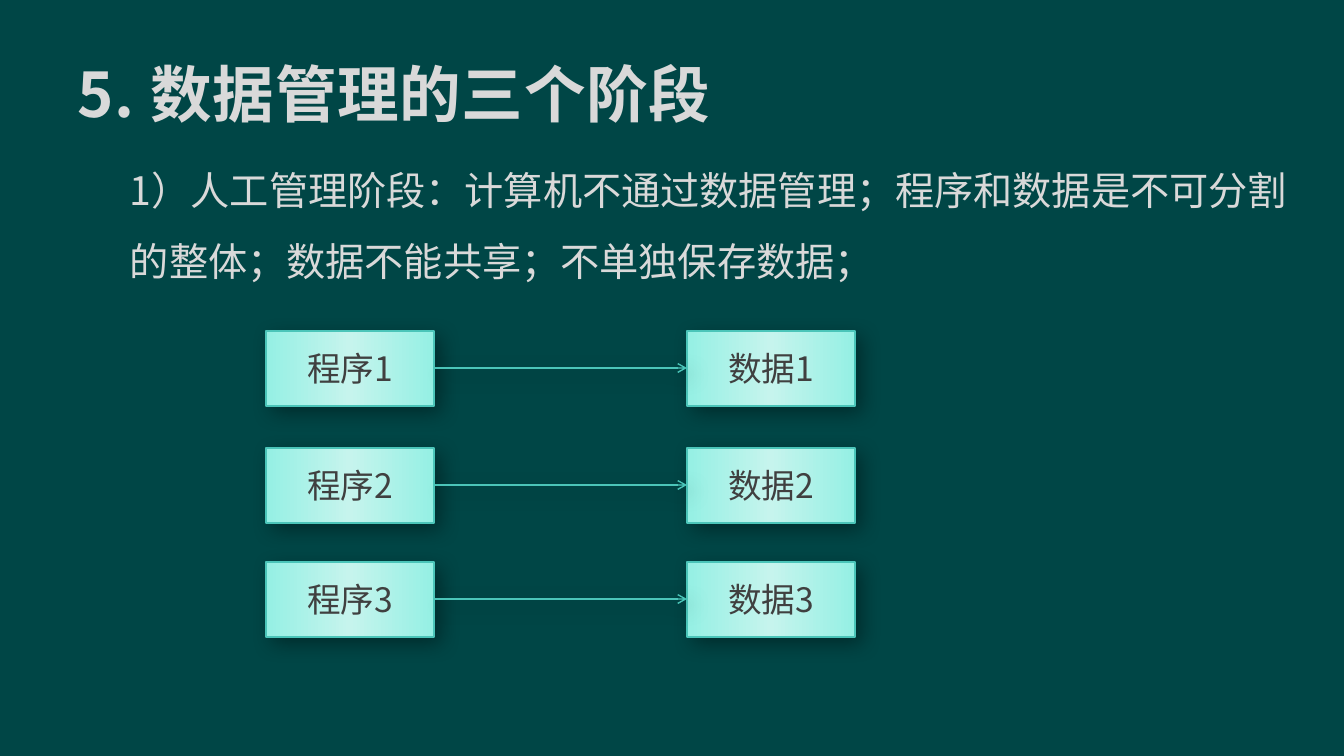
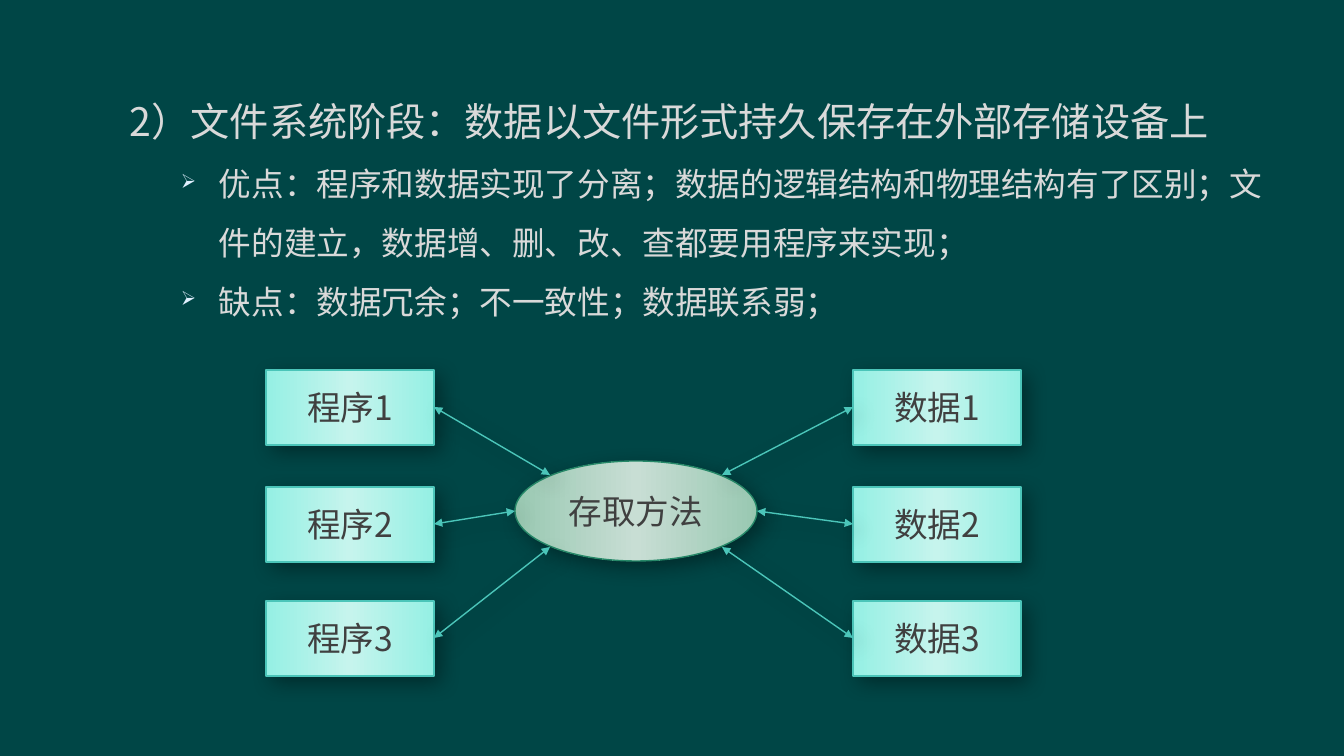
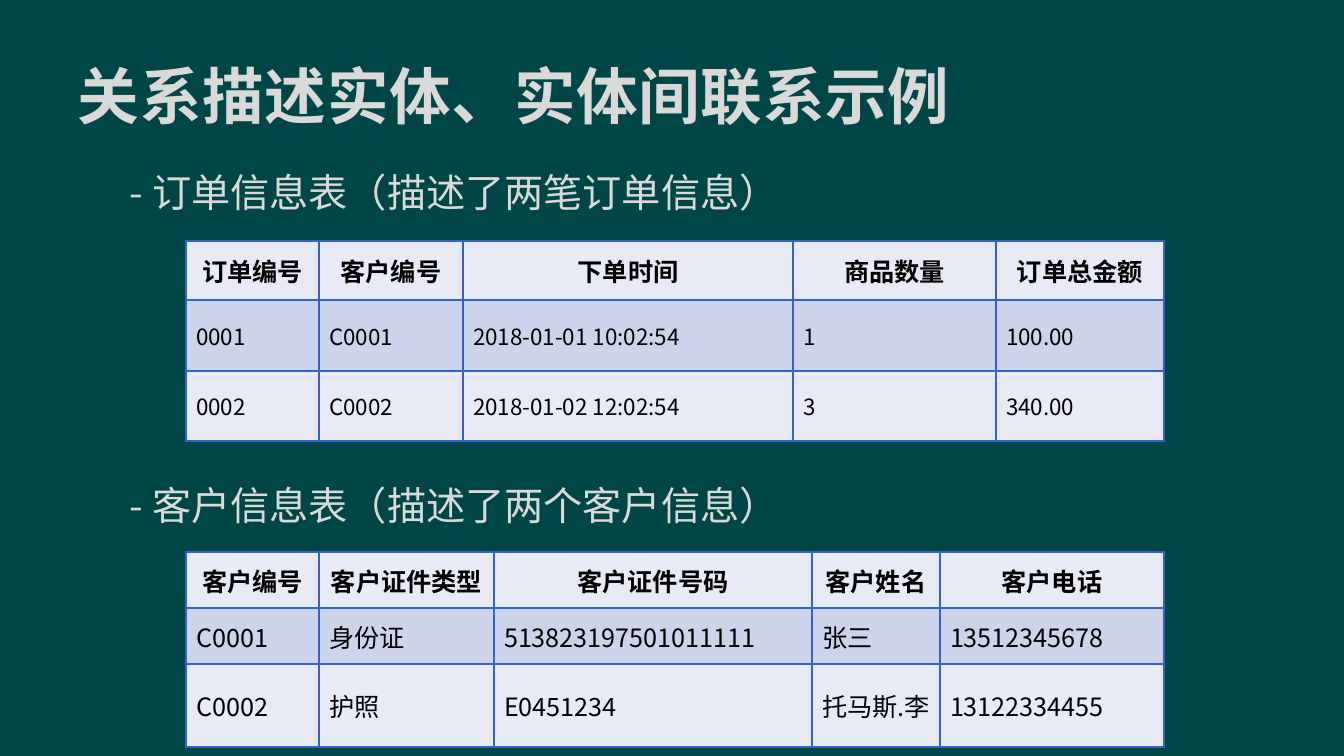
from copy import deepcopy
from lxml import etree
from pptx import Presentation
from pptx import util as u
from pptx.dml.color import RGBColor
from pptx.enum import shapes, text
from pptx.oxml import parse_xml
from pptx.oxml.ns import nsdecls, qn

PX = 9071  # EMU per pixel
FONT = "Noto Sans CJK SC"
BACK, PALE, DARK, BLACK = "004646", "D9D9D9", "404040", "000000"
TEAL, MINT, MINT_MID = "4BC5B9", "95F0E4", "C6F4ED"
GREEN, SAGE, SAGE_MID = "268868", "99C8B2", "C8DED4"
GRID, BAND, PLAIN = "3163CA", "CED3EC", "E8EAF6"
SPACING = 1.5
rgb = RGBColor.from_string
SHADOW = f"""<a:effectLst {nsdecls('a')}>
<a:outerShdw blurRad="190500" dist="78740" dir="2700000" algn="tl" rotWithShape="0">
<a:srgbClr val="{BLACK}"><a:alpha val="36000"/></a:srgbClr></a:outerShdw></a:effectLst>"""


def write(tf, words, size=28, color=PALE, bold=False, align=None, spacing=None, track=None):
    """Fill the frame's empty first paragraph, or add one."""
    p = tf.paragraphs[0] if not tf.text else tf.add_paragraph()
    p.alignment = align
    p.line_spacing = spacing
    r = p.add_run()
    r.text = words
    r.font.size, r.font.bold, r.font.name = u.Pt(size), bold, FONT
    r.font.color.rgb = rgb(color)
    rPr = r.font._element
    etree.SubElement(rPr, qn("a:ea")).set("typeface", FONT)
    if track:
        rPr.set("spc", str(track))
    return p


def outline(s, color):
    """Thin line and soft shadow, for nodes and connectors."""
    s.line.color.rgb = rgb(color)
    s.line.width = u.Pt(1)
    s._element.spPr.append(parse_xml(SHADOW))


prs = Presentation()
prs.slide_width, prs.slide_height = 1344 * PX, 756 * PX

# Slides with their titles and body text: (top, height, text)
pages = [
    ((30, "5. 数据管理的三个阶段"),
     [(138, 174, "1）人工管理阶段：计算机不通过数据管理；程序和数据是不可分割的整体；"
                 "数据不能共享；不单独保存数据；")]),
    (None,
     [(69, 291, "2）文件系统阶段：数据以文件形式持久保存在外部存储设备上")]),
    ((32, "关系描述实体、实体间联系示例"),
     [(140, 81, "- 订单信息表（描述了两笔订单信息）"),
      (453, 81, "- 客户信息表（描述了两个客户信息）")]),
]
slides, bodies = [], []
for title, blocks in pages:
    slide = prs.slides.add_slide(prs.slide_layouts[6])
    slide.background.fill.solid()
    slide.background.fill.fore_color.rgb = rgb(BACK)
    slides.append(slide)
    if title:
        top, words = title
        tf = slide.shapes.add_textbox(68 * PX, top * PX, 1143 * PX, 126 * PX).text_frame
        tf.word_wrap = True
        tf.vertical_anchor = text.MSO_ANCHOR.MIDDLE
        write(tf, words, size=44, bold=True, track=50)
    for top, height, words in blocks:
        tf = slide.shapes.add_textbox(120 * PX, top * PX, 1178 * PX, height * PX).text_frame
        tf.word_wrap = True
        write(tf, words, spacing=SPACING)
        bodies.append(tf)

# Bulleted pros and cons of the file system stage
for words in ("优点：程序和数据实现了分离；数据的逻辑结构和物理结构有了区别；"
              "文件的建立，数据增、删、改、查都要用程序来实现；",
              "缺点：数据冗余；不一致性；数据联系弱；"):
    pPr = write(bodies[1], words, size=23.3, spacing=SPACING)._p.get_or_add_pPr()
    pPr.set("marL", str(89 * PX))
    pPr.set("indent", str(-38 * PX))
    for bullet in ('buClr {}><a:srgbClr val="E1F0FF"/></a:buClr>', 'buSzPct {} val="60000"/>',
                   'buChar {} char="➢"/>'):
        pPr.append(parse_xml("<a:" + bullet.format(nsdecls("a"))))

# Diagrams: programs left, data right, with the access method between on the second
NODE_W, NODE_H, LEFT = 168, 75, 266
ROWS = (0, 117, 231)
OVAL_X, OVAL_Y, OVAL_RX, OVAL_RY = 636, 511, 121, 50
RECT, OVAL = shapes.MSO_SHAPE.RECTANGLE, shapes.MSO_SHAPE.OVAL
for slide, top, right, via in ((slides[0], 331, 687, False), (slides[1], 370, 853, True)):
    nodes, links = [], []
    if via:
        nodes.append((OVAL, OVAL_X - OVAL_RX, OVAL_Y - OVAL_RY, 2 * OVAL_RX, 2 * OVAL_RY,
                      "存取方法", GREEN, SAGE, SAGE_MID))
    for i, row in enumerate(ROWS):
        y = top + row
        mid = y + NODE_H // 2
        for x, name in ((LEFT, "程序"), (right, "数据")):
            nodes.append((RECT, x, y, NODE_W, NODE_H, f"{name}{i + 1}", TEAL, MINT, MINT_MID))
        if via:
            # Links meet the oval at its diagonals and its ends
            dx = OVAL_RX if i == 1 else round(OVAL_RX * 0.71)
            join = OVAL_Y + (i - 1) * round(OVAL_RY * 0.71)
            links += [(LEFT + NODE_W, mid, OVAL_X - dx, join), (OVAL_X + dx, join, right, mid)]
        else:
            links.append((LEFT + NODE_W, mid, right, mid))

    for kind, x, y, w, h, words, edge, side, middle in nodes:
        s = slide.shapes.add_shape(kind, x * PX, y * PX, w * PX, h * PX)
        s.fill.gradient()
        s.fill.gradient_angle = 0
        stops = s._element.spPr.find(".//" + qn("a:gsLst"))
        stops.insert(1, deepcopy(stops[0]))
        for stop, at, color in zip(s.fill.gradient_stops, (0, 0.5, 1), (side, middle, side)):
            stop.position = at
            stop.color.rgb = rgb(color)
        outline(s, edge)
        s.text_frame.vertical_anchor = text.MSO_ANCHOR.MIDDLE
        write(s.text_frame, words, size=24, color=DARK, align=text.PP_ALIGN.CENTER)

    for link in links:
        s = slide.shapes.add_connector(shapes.MSO_CONNECTOR.STRAIGHT, *(v * PX for v in link))
        outline(s, TEAL)
        for end in ("headEnd", "tailEnd") if via else ("tailEnd",):
            arrow = etree.SubElement(s.line._get_or_add_ln(), qn("a:" + end))
            arrow.set("type", "triangle" if via else "arrow")

# Tables: top, column widths, row heights, body size, rows
tables = [
    (241, (133, 144, 330, 203, 168), (59, 71, 70), 16,
     [("订单编号", "客户编号", "下单时间", "商品数量", "订单总金额"),
      ("0001", "C0001", "2018-01-01 10:02:54", "1", "100.00"),
      ("0002", "C0002", "2018-01-02 12:02:54", "3", "340.00")]),
    (552, (133, 175, 318, 128, 224), (56, 56, 83), 18,
     [("客户编号", "客户证件类型", "客户证件号码", "客户姓名", "客户电话"),
      ("C0001", "身份证", "513823197501011111", "张三", "13512345678"),
      ("C0002", "护照", "E0451234", "托马斯.李", "13122334455")]),
]
for top, widths, heights, size, rows in tables:
    table = slides[2].shapes.add_table(len(rows), len(widths), 186 * PX, top * PX,
                                       sum(widths) * PX, sum(heights) * PX).table
    for column, width in zip(table.columns, widths):
        column.width = width * PX
    for i, values in enumerate(rows):
        table.rows[i].height = heights[i] * PX
        head = i == 0
        for j, value in enumerate(values):
            cell = table.cell(i, j)
            cell.vertical_anchor = text.MSO_ANCHOR.MIDDLE
            write(cell.text_frame, value, size=18 if head else size, color=BLACK, bold=head,
                  align=text.PP_ALIGN.CENTER if head else None)
            tcPr = cell._tc.get_or_add_tcPr()
            for side in ("lnL", "lnR", "lnT", "lnB"):
                tcPr.append(parse_xml(
                    f'<a:{side} {nsdecls("a")} w="12700"><a:solidFill>'
                    f'<a:srgbClr val="{GRID}"/></a:solidFill></a:{side}>'))
            cell.fill.solid()
            cell.fill.fore_color.rgb = rgb(BAND if i == 1 else PLAIN)

prs.save("out.pptx")
